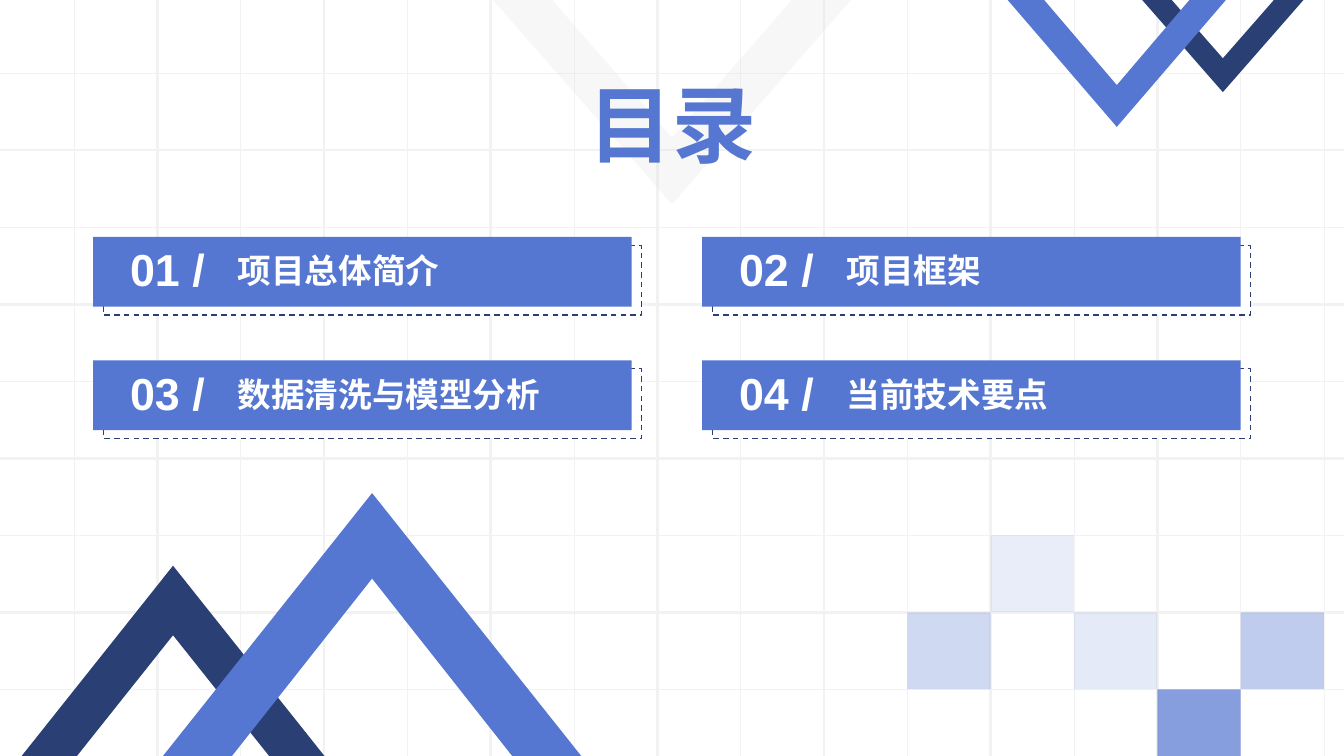
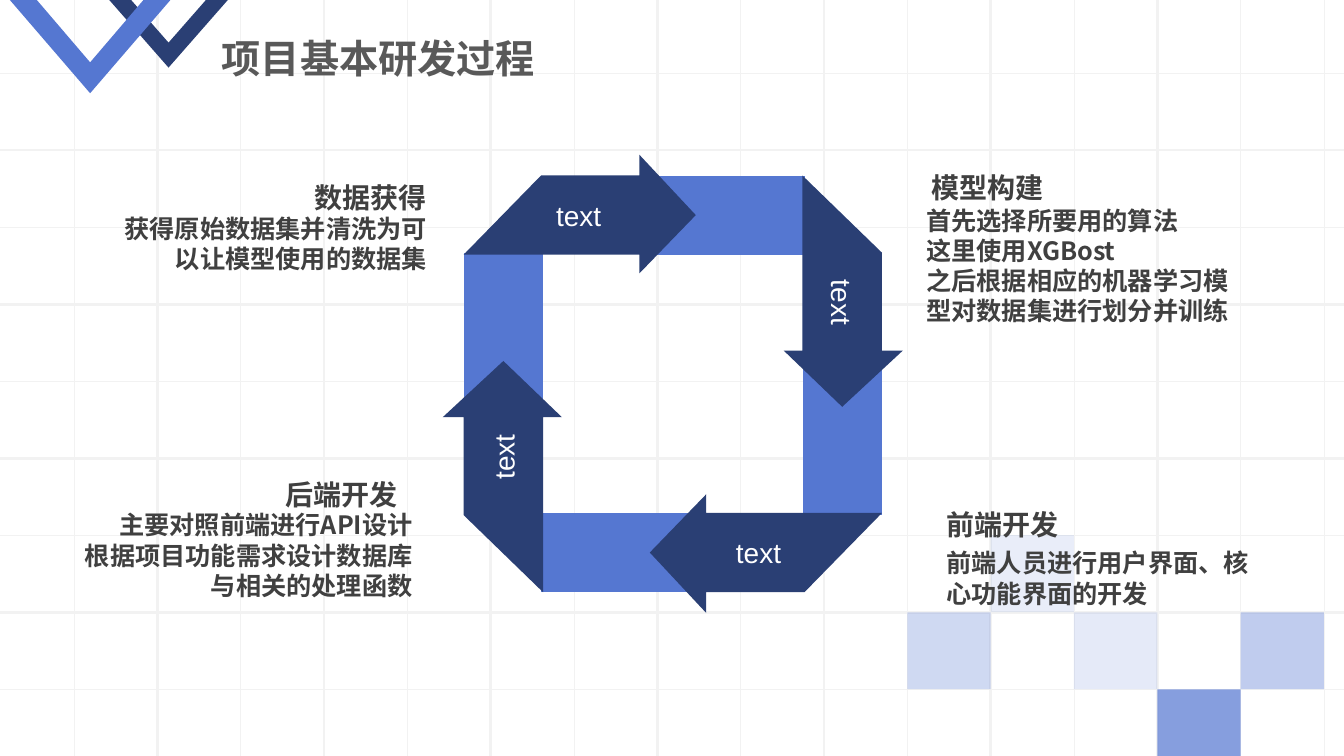
from dataclasses import dataclass
from lxml.etree import SubElement as Sub
from pptx import Presentation
from pptx.dml.color import RGBColor as Rgb
from pptx.enum.dml import MSO_LINE as Dash
from pptx.enum.shapes import MSO_CONNECTOR as Conn, MSO_SHAPE as Kind
from pptx.enum.text import MSO_ANCHOR as Anchor, MSO_AUTO_SIZE as Fit, PP_ALIGN as Align
from pptx.oxml.ns import qn
from pptx.util import Inches, Pt

COLS, ROWS = 160, 90
CELL = Inches(7.5) / ROWS


@dataclass(frozen=True)
class Theme:
    blue: str = "5577D1"
    navy: str = "2A3F74"
    pale: str = "D9D9D9"
    rule: str = "F2F2F2"
    white: str = "FFFFFF"
    title: str = "595959"
    ink: str = "404040"
    sans: str = "Arial"
    han: str = "Noto Sans CJK SC"
    han_jp: str = "Noto Sans CJK JP"
    cover: int = 60
    number: int = 32
    head: int = 28
    entry: int = 24
    label: int = 20
    body: int = 18


T = Theme()
WIDE = (16.5, 67.5)
SLIM = (18, 64)


def at(*units):
    return [round(n * CELL) for n in units]


def paint(shape, color, alpha=100):
    shape.shadow.inherit = False
    shape.line.fill.background()
    shape.fill.solid()
    shape.fill.fore_color.rgb = Rgb.from_string(color)
    if alpha < 100:
        tint = shape.fill._xPr.find(".//" + qn("a:srgbClr"))
        Sub(tint, qn("a:alpha")).set("val", str(alpha * 1000))
    return shape


def rect(slide, box, color, alpha=100):
    return paint(slide.shapes.add_shape(Kind.RECTANGLE, *at(*box)), color, alpha)


def poly(slide, points, color, alpha=100):
    first, *rest = [at(*point) for point in points]
    form = slide.shapes.build_freeform(*first)
    form.add_line_segments(rest, close=True)
    return paint(form.convert_to_shape(), color, alpha)


def rule(slide, start, end, width):
    line = slide.shapes.add_connector(Conn.STRAIGHT, *at(*start, *end))
    line.line.color.rgb = Rgb.from_string(T.rule)
    line.line.width = Pt(width)
    Sub(line.element.spPr, qn("a:effectLst"))


def write(shape, text, size, color, font=T.sans, bold=True,
          align=Align.LEFT, anchor=Anchor.TOP):
    frame = shape.text_frame
    frame.word_wrap = True
    frame.auto_size = Fit.NONE
    frame.vertical_anchor = anchor
    frame.text = text
    for para in frame.paragraphs:
        para.alignment = align
        for run in para.runs:
            run.font.name = font
            run.font.size = Pt(size)
            run.font.bold = bold
            run.font.color.rgb = Rgb.from_string(color)
            if font != T.sans:
                Sub(run._r.rPr, qn("a:ea")).set("typeface", font)


def label(slide, box, text, **form):
    shape = slide.shapes.add_textbox(*at(*box))
    write(shape, text, **form)
    return shape


def title(slide, box, text, **form):
    shape = slide.shapes.title
    shape.left, shape.top, shape.width, shape.height = at(*box)
    write(shape, text, **form)
    slide.shapes.element.append(shape.element)


def chevron(slide, box, color, cut, alpha=100, up=False):
    x, y, w, h = box
    arm, notch = (part / 100 for part in cut)
    shares = [(0, 0), (arm, 0), (0.5, notch), (1 - arm, 0), (1, 0), (0.5, 1)]
    poly(slide, [(x + w * a, y + h * (1 - b if up else b)) for a, b in shares],
         color, alpha)


def badge(slide, box):
    x, y, w, h = box
    chevron(slide, (x + w * 0.45, y, w * 0.55, h * 0.73), T.navy, SLIM)
    chevron(slide, (x, y, w * 0.74, h), T.blue, WIDE)


def backdrop(slide, layout):
    left, top, wide, high = 8.82, 8.7, 9.92, 9.17
    for i in range(9):
        y = top + i * high
        rule(slide, (0, y), (COLS, y), 2 if i % 2 else 0.5)
    for i in range(16):
        x = left + i * wide
        rule(slide, (x, 0), (x, ROWS), 2 if i % 2 and i < 15 else 0.5)
    tiles = [(10, 7, 28), (11, 6, 13), (12, 7, 15), (13, 8, 71), (14, 7, 37)]
    for col, row, alpha in tiles:
        y = top + row * high
        rect(slide, (left + col * wide, y, wide, min(high, ROWS - y)), T.blue, alpha)
    for shape in list(slide.shapes):
        if not shape.is_placeholder:
            layout.shapes.element.append(shape.element)


def entry(slide, box, number, text, font):
    x, y, w, h = box
    back = rect(slide, (x + 1.2, y + 1, w, h), T.white)
    back.line.color.rgb = Rgb.from_string(T.navy)
    back.line.width = Pt(1)
    back.line.dash_style = Dash.DASH
    rect(slide, box, T.blue)
    label(slide, (x + w * 0.25, y + 1, w * 0.65, 6), text,
          size=T.entry, color=T.white, font=font)
    label(slide, (x + w * 0.05, y, w * 0.21, 7.7), f"{number:02} /",
          size=T.number, color=T.white)


def contents(slide):
    chevron(slide, (58.6, -0.1, 42.8, 24.4), T.pale, WIDE, alpha=20)
    badge(slide, (119.8, -0.2, 35.56, 15.3))
    chevron(slide, (2.3, 67.35, 36.6, 23), T.navy, SLIM, up=True)
    chevron(slide, (19.4, 58.7, 49.8, 31.3), T.blue, WIDE, up=True)
    title(slide, (62.9, 8, 34.2, 13.3), "目录",
          size=T.cover, color=T.blue, align=Align.CENTER)
    topics = [("项目总体简介", T.han_jp), ("项目框架", T.han_jp),
              ("数据清洗与模型分析", T.sans), ("当前技术要点", T.sans)]
    for i, (text, font) in enumerate(topics):
        row, col = divmod(i, 2)
        entry(slide, (11.1 + col * 72.5, 28.2 + row * 14.7, 64.1, 8.3),
              i + 1, text, font)


def cycle(slide, box, text):
    x, y, w, h = box

    def spin(points, turn):
        for _ in range(turn):
            points = [(-b, a) for a, b in points]
        return [(x + w / 2 * (1 + a), y + h / 2 * (1 + b)) for a, b in points]

    bar = [(-0.13, -1), (0.63, -1), (0.63, -0.62), (-0.13, -0.62)]
    arrow = [(-0.16, -1.1), (0.11, -0.81), (-0.16, -0.53), (-0.16, -0.62),
             (-1, -0.62), (-0.63, -1), (-0.16, -1)]
    for turn in range(4):
        poly(slide, spin(bar, turn), T.blue)
    for turn, along in enumerate((-0.45, -0.39, -0.41, -0.35)):
        poly(slide, spin(arrow, turn), T.navy)
        (mid, row), = spin([(along, -0.81)], turn)
        tag = label(slide, (mid - 9.5, row - 2.65, 19, 5.3), text,
                    size=T.label, color=T.white, bold=False,
                    align=Align.CENTER, anchor=Anchor.MIDDLE)
        tag.rotation = 90 * turn if turn % 2 else 0


def note(slide, box, head, body, rise, inset=0, align=Align.LEFT):
    x, y, w, h = box
    wide = 22.9
    start = x + w - wide - inset if align == Align.RIGHT else x + inset
    label(slide, box, body, size=T.body, color=T.ink, font=T.han, align=align)
    label(slide, (start, y - rise, wide, 5.3), head,
          size=T.label, color=T.ink, align=align)


def process(slide):
    cycle(slide, (55.2, 20.9, 49.8, 49.6), "text")
    badge(slide, (1, -0.2, 26.3, 11.3))
    title(slide, (25.2, 3.5, 55, 6.8), "项目基本研发过程",
          size=T.head, color=T.title)
    note(slide, (7.3, 60.1, 43, 12.1), "后端开发",
         "主要对照前端进行API设计\n根据项目功能需求设计数据库与相关的处理函数",
         3.9, 1.8, Align.RIGHT)
    note(slide, (10.8, 24.8, 41.2, 12.1), "数据获得",
         "获得原始数据集并清洗为可以让模型使用的数据集", 3.9, align=Align.RIGHT)
    note(slide, (109.1, 23.8, 41.2, 15.7), "模型构建",
         "首先选择所要用的算法\n这里使用XGBost\n"
         "之后根据相应的机器学习模型对数据集进行划分并训练", 4.1, 0.6)
    note(slide, (111.5, 64.6, 41.2, 8.5), "前端开发",
         "前端人员进行用户界面、核心功能界面的开发", 4.8)


def main():
    deck = Presentation()
    deck.slide_width, deck.slide_height = at(COLS, ROWS)
    layout = deck.slide_layouts[5]
    pages = [deck.slides.add_slide(layout) for _ in range(2)]
    backdrop(pages[0], layout)
    for page, build in zip(pages, (contents, process)):
        build(page)
    deck.save("out.pptx")


if __name__ == "__main__":
    main()
